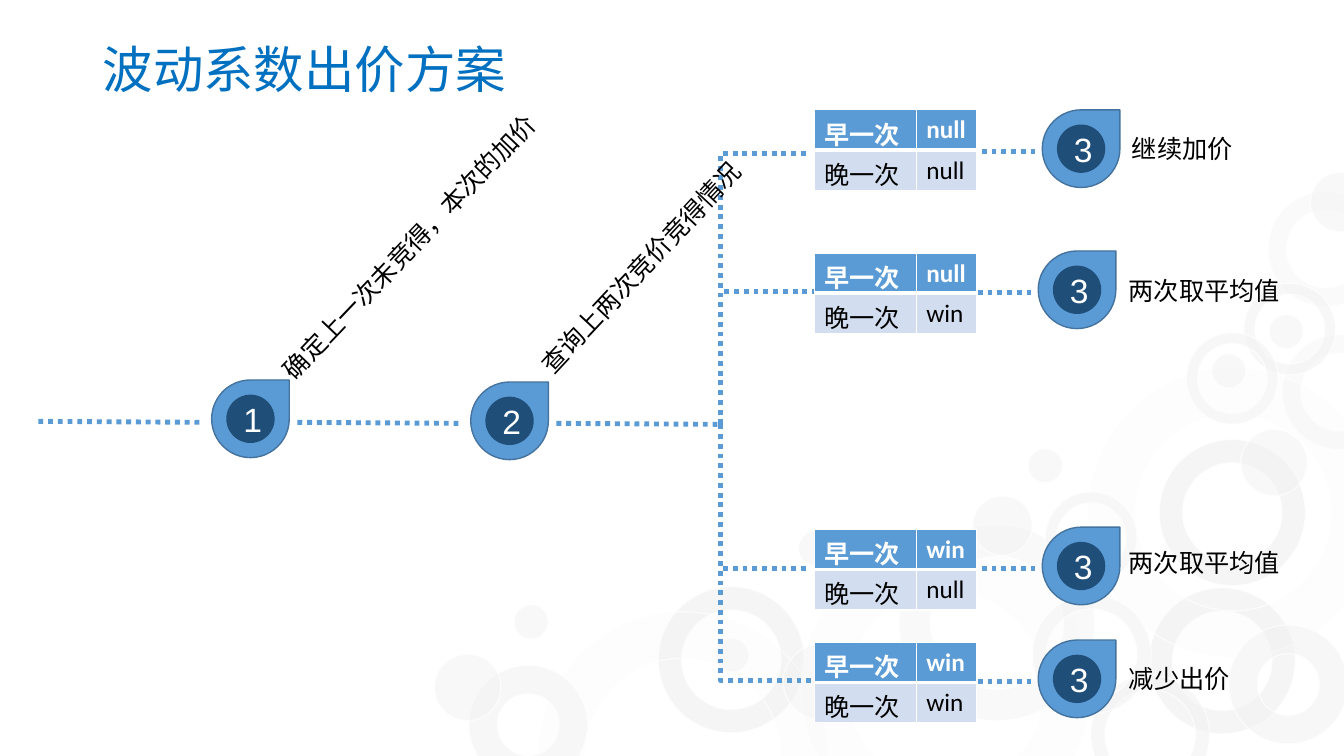
"""Build the bidding flow slide: two steps that branch into four outcomes."""
from lxml.etree import SubElement
from pptx import Presentation
from pptx.dml.color import RGBColor
from pptx.enum.dml import MSO_LINE as Dash
from pptx.enum.shapes import MSO_CONNECTOR as Link, MSO_SHAPE as Shape
from pptx.enum.text import MSO_ANCHOR as Anchor, MSO_AUTO_SIZE as Fit, PP_ALIGN as Align
from pptx.oxml.ns import qn
from pptx.util import Inches, Pt

COLORS = {
    "title": "0070C0", "blue": "5B9BD5", "edge": "43739E", "navy": "1F4E79",
    "pale": "D2DEEF", "white": "FFFFFF", "black": "000000", "bubble": "F2F2F2",
}
CELL = Inches(0.1)
COLUMNS, ROWS = 133.33, 75
DROP, DISC = 7.7, 4.8
TRUNK_X, TRUNK_Y = 71.5, 42.1

deck = Presentation()
deck.slide_width = int(COLUMNS * CELL)
deck.slide_height = ROWS * CELL
page = deck.slides.add_slide(deck.slide_layouts[6])


def write(frame, text, size=18, font="Calibri", color="black", bold=False, align=None, spacing=None):
    para = frame.paragraphs[0]
    para.alignment = align
    para.line_spacing = spacing
    span = para.add_run()
    span.text = text
    span.font.size = Pt(size)
    span.font.name = font
    span.font.bold = bold
    span.font.color.rgb = RGBColor.from_string(COLORS[color])


def connect(kind, *ends):
    dots = page.shapes.add_connector(kind, *[int(end * CELL) for end in ends])
    dots.line.color.rgb = RGBColor.from_string(COLORS["blue"])
    dots.line.width = Pt(3.5)
    dots.line.dash_style = Dash.ROUND_DOT
    properties = dots._element.spPr
    SubElement(properties, qn("a:effectLst"))
    if kind == Link.ELBOW:
        guides = properties.find(".//" + qn("a:avLst"))
        SubElement(guides, qn("a:gd"), name="adj1", fmla="val 0")


bubbles = [
    (14.5, 0.16, 75, [(115, 43.6), (65.3, 58.2), (114, 58.3)]),
    (11.4, 0.16, 31, [(127.2, 33.2), (125.8, 19)]),
    (28.7, 0.16, 13, [(53.4, 60.7), (79.5, 54), (108, 36.5)]),
    (19.4, 0.16, 42, [(89.2, 52.1)]),
    (11.8, 0.12, 54, [(108.2, 67), (102.4, 59)]),
    (11.8, 0.24, 54, [(121.9, 62), (46.5, 66)]),
    (9.1, 0.12, 54, [(123.4, 28.1), (103.7, 48.8), (117.7, 33)]),
    (7.5, None, 39, [(77.7, 63.9)]),
    (6.6, None, 47, [(123.1, 42.6), (43.1, 64.9), (88.4, 64.3)]),
    (5.9, None, 47, [(96.5, 49.2), (130, 17.1)]),
    (3.4, None, 47, [(120.2, 35.1), (79.2, 52.7), (70.9, 63.3), (102, 44.5),
                     (125.9, 31.2), (51, 60)]),
]
for size, ring, opacity, places in bubbles:
    for left, top in places:
        bubble = page.shapes.add_shape(
            Shape.DONUT if ring else Shape.OVAL,
            int(left * CELL), int(top * CELL), int(size * CELL), int(size * CELL))
        if ring:
            bubble.adjustments[0] = ring
        bubble.shadow.inherit = False
        bubble.fill.solid()
        bubble.fill.fore_color.rgb = RGBColor.from_string(COLORS["bubble"])
        bubble.line.color.rgb = RGBColor.from_string(COLORS["white"])
        bubble.line.width = Pt(1)
        for paint, share in ((bubble.fill, opacity), (bubble.line.fill, 70)):
            tint = paint._xPr.find(".//" + qn("a:srgbClr"))
            SubElement(tint, qn("a:alpha"), val=str(share * 1000))

title = page.shapes.add_textbox(int(9.2 * CELL), 4 * CELL, 115 * CELL, int(14.5 * CELL)).text_frame
title.word_wrap = True
write(title, "波动系数出价方案", size=36, color="title", spacing=0.9)

for step in range(3):
    left, top = 3.8 + 25.7 * step, 41.8 + 0.1 * step
    connect(Link.STRAIGHT, left, top, left + 16.3, top + 0.1)

outcomes = [
    (10.9, "null", "null", 80.1, 15.2, 103.4, 10.9),
    (25.1, "null", "win", 80.8, 28.9, 103, 24.9),
    (52.5, "win", "null", 80.1, 56.4, 103.4, 52.3),
    (63.7, "win", "win", 80.8, 67.5, 103, 63.5),
]
badges = [("1", 21, 37.7), ("2", 46.7, 37.9)]
for table_top, early, late, branch_end, branch_y, badge_left, badge_top in outcomes:
    badges.append(("3", badge_left, badge_top))
    connect(Link.ELBOW, TRUNK_X, TRUNK_Y, branch_end, branch_y)
    connect(Link.STRAIGHT, badge_left - 6, badge_top + 4.1, badge_left - 0.2, badge_top + 4.1)
    table = page.shapes.add_table(
        2, 2, int(80.8 * CELL), int(table_top * CELL), 16 * CELL, 8 * CELL).table
    table.columns[0].width, table.columns[1].width = int(10.1 * CELL), 6 * CELL
    for row, words in enumerate([("早一次", early), ("晚一次", late)]):
        heading = row == 0
        for column, word in enumerate(words):
            cell = table.cell(row, column)
            properties = cell._tc.get_or_add_tcPr()
            middle = "lnB" if heading else "lnT"
            for side in ("lnL", "lnR", "lnT", "lnB"):
                border = SubElement(properties, qn("a:" + side), w=str(Pt(3 if side == middle else 1)))
                SubElement(SubElement(border, qn("a:solidFill")), qn("a:srgbClr"), val=COLORS["white"])
            cell.fill.solid()
            cell.fill.fore_color.rgb = RGBColor.from_string(COLORS["blue" if heading else "pale"])
            write(cell.text_frame, word, color="white" if heading else "black", bold=heading)

for number, left, top in badges:
    inset = (DROP - DISC) / 2
    drop = page.shapes.add_shape(
        Shape.TEAR, int(left * CELL), int(top * CELL), int(DROP * CELL), int(DROP * CELL))
    disc = page.shapes.add_shape(
        Shape.OVAL, int((left + inset) * CELL), int((top + inset) * CELL),
        int(DISC * CELL), int(DISC * CELL))
    for part, color in ((drop, "blue"), (disc, "navy")):
        part.shadow.inherit = False
        part.fill.solid()
        part.fill.fore_color.rgb = RGBColor.from_string(COLORS[color])
    drop.line.color.rgb = RGBColor.from_string(COLORS["edge"])
    drop.line.width = Pt(1)
    disc.line.fill.background()
    disc.text_frame.vertical_anchor = Anchor.MIDDLE
    write(disc.text_frame, number, size=24, font="Arial", color="white", align=Align.CENTER)

labels = [
    ("确定上一次未竞得，本次的加价", 22, 22.2, 37.7, 313.6),
    ("查询上两次竞价竞得情况", 48.8, 24.4, 29.8, 313.1),
    ("继续加价", 111.3, 12.7, 12.4, 0),
    ("两次取平均值", 111, 26.8, 17.3, 0),
    ("两次取平均值", 111, 53.8, 17.3, 0),
    ("减少出价", 111, 65.3, 12.1, 0),
]
for text, left, top, width, angle in labels:
    box = page.shapes.add_textbox(int(left * CELL), int(top * CELL), int(width * CELL), 4 * CELL)
    box.rotation = angle
    box.text_frame.word_wrap = False
    box.text_frame.auto_size = Fit.SHAPE_TO_FIT_TEXT
    write(box.text_frame, text)

deck.save("out.pptx")
